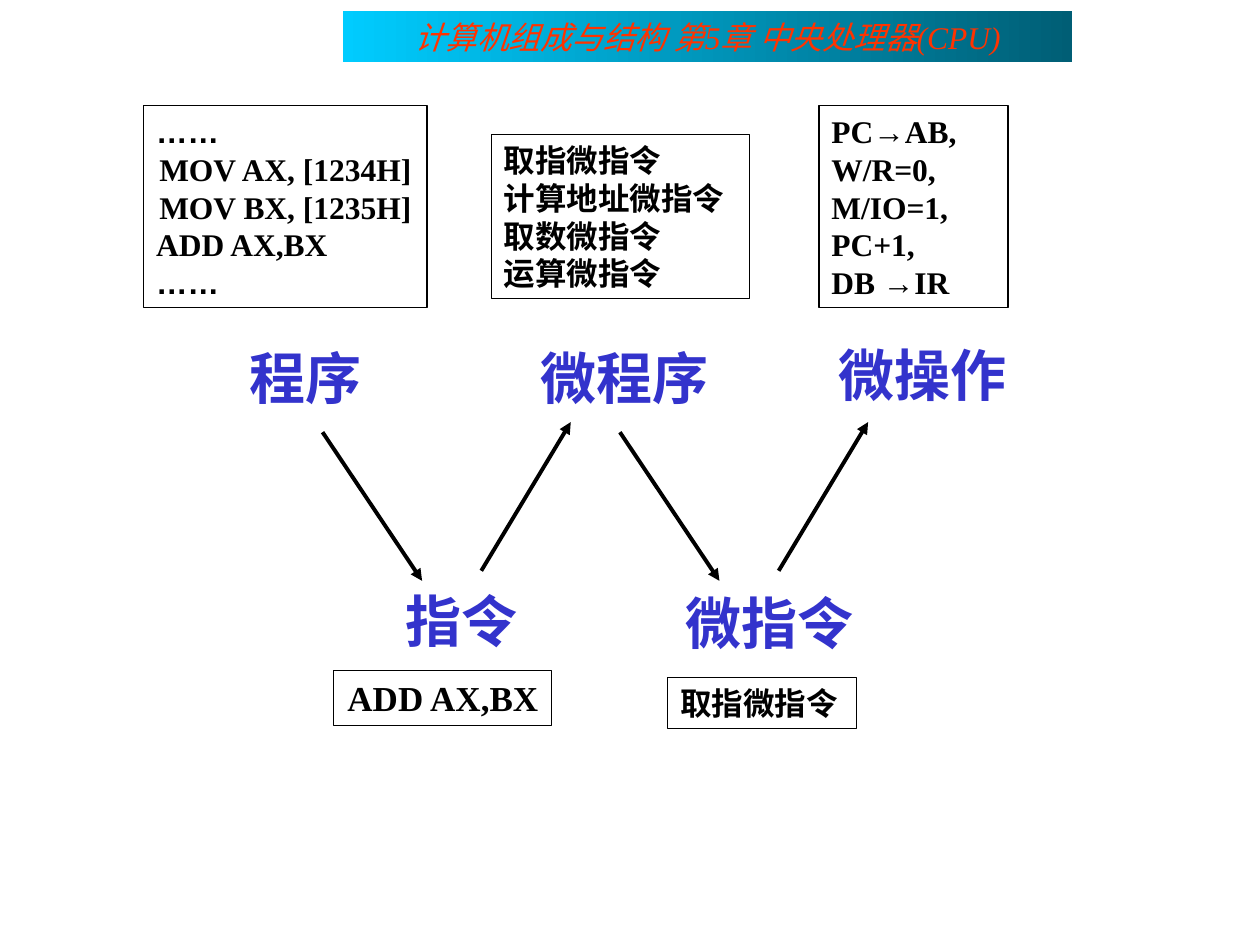
from lxml.etree import SubElement
from pptx import Presentation
from pptx.dml.color import RGBColor
from pptx.enum.shapes import MSO_CONNECTOR, MSO_SHAPE
from pptx.enum.text import MSO_ANCHOR, PP_ALIGN
from pptx.oxml.ns import qn
from pptx.util import Inches, Pt


def color(hex_string):
    return RGBColor.from_string(hex_string)


def write_lines(shape, lines, size, hex_string, centered, bold=True):
    """Fill a shape with one paragraph per line; centered lists the centred line numbers."""
    text_frame = shape.text_frame
    text_frame.word_wrap = True
    text_frame.vertical_anchor = MSO_ANCHOR.TOP
    text_frame.text = "\n".join(lines)
    for number, paragraph in enumerate(text_frame.paragraphs):
        paragraph.alignment = PP_ALIGN.CENTER if number in centered else PP_ALIGN.LEFT
        for run in paragraph.runs:
            run.font.name = "Arial" if run.text == "……" else "Times New Roman"
            run.font.size = Pt(size)
            run.font.bold = bold
            run.font.italic = not bold
            run.font.color.rgb = color(hex_string)


presentation = Presentation()
presentation.slide_width = Inches(10)
presentation.slide_height = Inches(7.5)
slide = presentation.slides.add_slide(presentation.slide_layouts[6])
shapes = slide.shapes

# Chapter banner
banner = shapes.add_shape(
    MSO_SHAPE.RECTANGLE, Inches(2.72), Inches(0.09), Inches(5.79), Inches(0.4))
banner.shadow.inherit = False
banner.line.fill.background()
banner.fill.gradient()
banner.fill.gradient_angle = 180
for stop, position, shade in zip(banner.fill.gradient_stops, (0, 1), ("005E75", "00CCFF")):
    stop.position = position
    stop.color.rgb = color(shade)
write_lines(banner, ["计算机组成与结构 第5章 中央处理器(CPU)"], 18, "FF3300", [0], bold=False)

# Concept names: text, left, top, width
concepts = [
    ("程序", 1.74, 2.68, 1.37),
    ("微程序", 3.97, 2.68, 1.98),
    ("微操作", 6.42, 2.65, 1.81),
    ("指令", 2.95, 4.61, 1.42),
    ("微指令", 5.24, 4.62, 1.73),
]
for name, left, top, width in concepts:
    label = shapes.add_textbox(Inches(left), Inches(top), Inches(width), Inches(0.64))
    write_lines(label, [name], 32, "3333CC", [0])

# Each level goes down to its unit and up to the next level
for start in (2.56, 4.92):
    for x1, y1, x2, y2 in ((0, 3.43, 0.79, 4.61), (1.26, 4.53, 1.97, 3.35)):
        arrow = shapes.add_connector(
            MSO_CONNECTOR.STRAIGHT,
            Inches(start + x1), Inches(y1), Inches(start + x2), Inches(y2))
        arrow.line.color.rgb = color("000000")
        arrow.line.width = Pt(2.25)
        SubElement(arrow.line._get_or_add_ln(), qn("a:tailEnd"), type="triangle")
        SubElement(arrow._element.spPr, qn("a:effectLst"))

# Framed examples: left, top, width, height, size, centred lines, lines
examples = [
    (2.65, 5.32, 1.73, 0.44, 20, [0], ["ADD AX,BX"]),
    (1.14, 0.84, 2.25, 1.6, 18, [1, 2],
     ["……", "MOV AX, [1234H]", "MOV BX, [1235H]", "ADD AX,BX", "……"]),
    (3.9, 1.07, 2.05, 1.3, 18, [],
     ["取指微指令", "计算地址微指令", "取数微指令", "运算微指令"]),
    (5.3, 5.38, 1.5, 0.4, 18, [], ["取指微指令"]),
    (6.5, 0.84, 1.5, 1.6, 18, [],
     ["PC→AB,", "W/R=0,", "M/IO=1,", "PC+1,", "DB →IR"]),
]
for left, top, width, height, size, centered, lines in examples:
    frame = shapes.add_shape(
        MSO_SHAPE.RECTANGLE, Inches(left), Inches(top), Inches(width), Inches(height))
    frame.shadow.inherit = False
    frame.fill.background()
    frame.line.color.rgb = color("000000")
    frame.line.width = Pt(0.75)
    write_lines(frame, lines, size, "000000", centered)
    frame.text_frame.word_wrap = len(lines) > 1

presentation.save("out.pptx")
